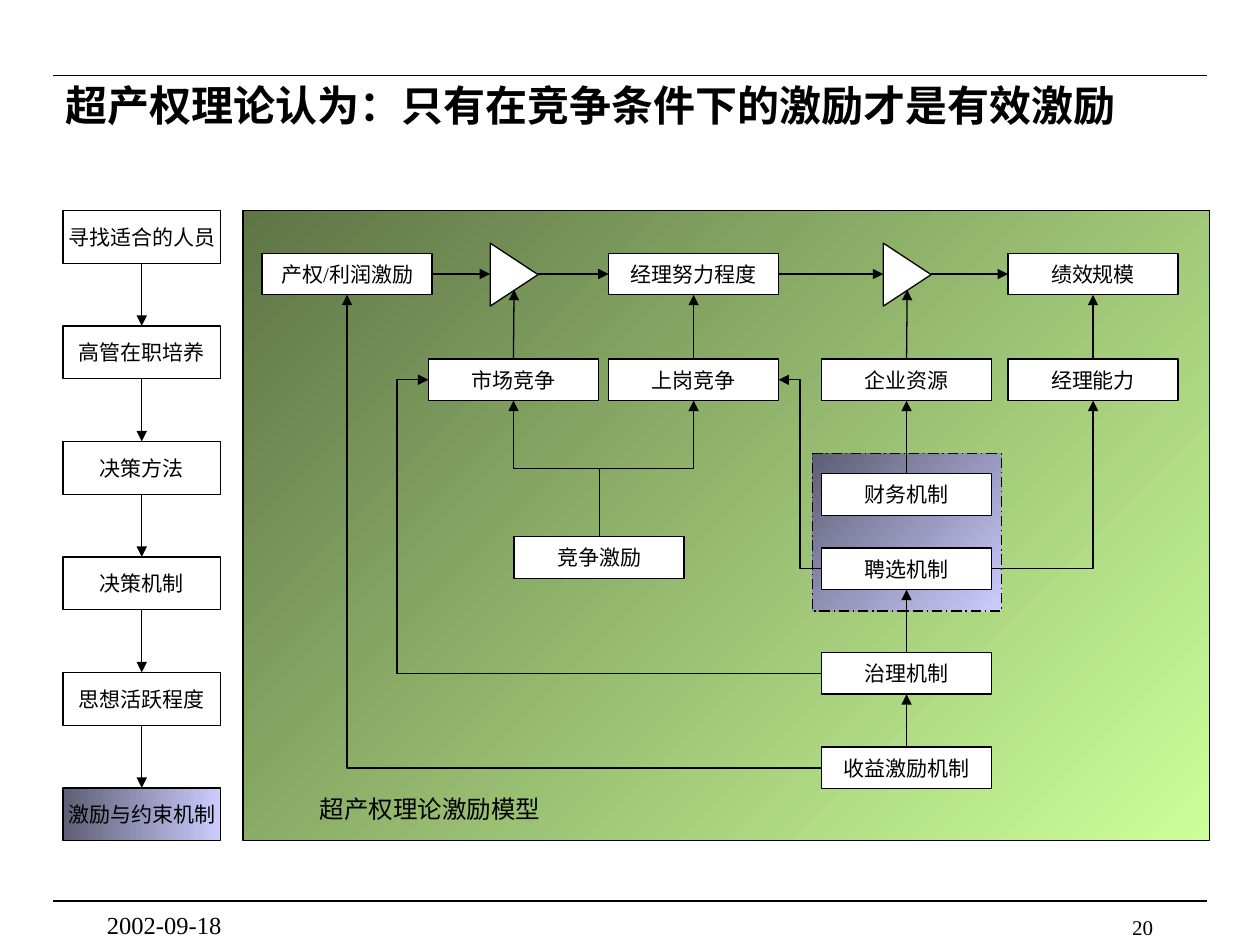
from dataclasses import dataclass

from lxml.etree import SubElement
from pptx import Presentation
from pptx.dml.color import RGBColor
from pptx.enum.dml import MSO_LINE
from pptx.enum.shapes import MSO_CONNECTOR, MSO_SHAPE
from pptx.enum.text import MSO_ANCHOR, PP_ALIGN
from pptx.oxml.ns import qn
from pptx.util import Inches, Pt


@dataclass(frozen=True)
class Theme:
    font: str = "Times New Roman"
    ink: str = "000000"
    white: str = "FFFFFF"
    green: tuple = ("CCFF99", "5E7546")
    violet: tuple = ("CCCCFF", "5E5E75")
    line: float = 0.75
    title: int = 24
    caption: int = 14
    body: int = 12


THEME = Theme()
BOX_WIDTH, BOX_HEIGHT = 1.35, 0.33

STEPS = ["寻找适合的人员", "高管在职培养", "决策方法", "决策机制", "思想活跃程度", "激励与约束机制"]
STEP_LEFT, STEP_TOP, STEP_WIDTH, STEP_HEIGHT = 0.5, 1.67, 1.25, 0.42
STEP_PITCH = 5.5 / 6

# Left and top of each box in the model
BOXES = {
    "产权/利润激励": (2.08, 2.01), "经理努力程度": (4.83, 2.01), "绩效规模": (8, 2.01),
    "市场竞争": (3.4, 2.85), "上岗竞争": (4.83, 2.85),
    "企业资源": (6.52, 2.85), "经理能力": (8, 2.85),
    "财务机制": (6.52, 3.76), "聘选机制": (6.52, 4.35),
    "治理机制": (6.52, 5.18), "收益激励机制": (6.52, 5.93),
    "竞争激励": (4.08, 4.26),
}
UPWARD = [("财务机制", "企业资源"), ("经理能力", "绩效规模"), ("上岗竞争", "经理努力程度"),
          ("治理机制", "聘选机制"), ("收益激励机制", "治理机制")]
# Each gate: centre, the boxes before and after it, the box that feeds it from below
GATES = [(4.08, "产权/利润激励", "经理努力程度", "市场竞争"),
         (7.2, "经理努力程度", "绩效规模", "企业资源")]


def edge(name, side):
    """Middle of one side of a model box."""
    left, top = BOXES[name]
    across, down = {"left": (0, 0.5), "right": (1, 0.5),
                    "top": (0.5, 0), "bottom": (0.5, 1)}[side]
    return left + across * BOX_WIDTH, top + down * BOX_HEIGHT


def write_text(shape, text, size=THEME.body, bold=False, align=PP_ALIGN.CENTER,
               anchor=MSO_ANCHOR.MIDDLE, wrap=False):
    frame = shape.text_frame
    frame.word_wrap = wrap
    frame.vertical_anchor = anchor
    paragraph = frame.paragraphs[0]
    paragraph.alignment = align
    run = paragraph.add_run()
    run.text = text
    run.font.name = THEME.font
    run.font.size = Pt(size)
    run.font.bold = bold
    run.font.color.rgb = RGBColor.from_string(THEME.ink)


def add_label(slide, text, left, top, width, height, **text_format):
    box = slide.shapes.add_textbox(Inches(left), Inches(top), Inches(width), Inches(height))
    write_text(box, text, **text_format)


def style_line(line):
    line.color.rgb = RGBColor.from_string(THEME.ink)
    line.width = Pt(THEME.line)


def add_block(slide, left, top, width, height, fill=None, angle=135,
              kind=MSO_SHAPE.RECTANGLE):
    """Outlined shape; fill is None, one colour or a pair for a gradient."""
    shape = slide.shapes.add_shape(kind, Inches(left), Inches(top),
                                   Inches(width), Inches(height))
    shape.shadow.inherit = False
    style_line(shape.line)
    if fill is None:
        shape.fill.background()
    elif isinstance(fill, tuple):
        shape.fill.gradient()
        shape.fill.gradient_angle = angle
        for stop, colour in zip(shape.fill.gradient_stops, fill):
            stop.color.rgb = RGBColor.from_string(colour)
    else:
        shape.fill.solid()
        shape.fill.fore_color.rgb = RGBColor.from_string(fill)
    return shape


def add_line(slide, start, end, arrow=True, kind=MSO_CONNECTOR.STRAIGHT):
    connector = slide.shapes.add_connector(kind, *(Inches(value) for value in (*start, *end)))
    style_line(connector.line)
    properties = connector.element.spPr
    if arrow:
        SubElement(properties.find(qn("a:ln")), qn("a:tailEnd"), type="triangle")
    SubElement(properties, qn("a:effectLst"))
    return connector


def add_elbow(slide, start, end, bend=0.5):
    """Elbow that leaves sideways; with bend None it turns only once."""
    connector = add_line(slide, start, end, kind=MSO_CONNECTOR.ELBOW)
    geometry = connector.element.spPr.find(qn("a:prstGeom"))
    if bend is None:
        geometry.set("prst", "bentConnector2")
    else:
        guides = geometry.find(qn("a:avLst"))
        if guides is None:
            guides = SubElement(geometry, qn("a:avLst"))
        SubElement(guides, qn("a:gd"), name="adj1", fmla=f"val {round(bend * 100000)}")
    return connector


def add_rising_elbow(slide, start, end):
    """Elbow that leaves upwards: a sideways one turned about its centre."""
    (x1, y1), (x2, y2) = start, end
    centre_x, centre_y = (x1 + x2) / 2, (y1 + y2) / 2
    half_rise, half_run = (y1 - y2) / 2, (x2 - x1) / 2
    connector = add_elbow(slide, (centre_x - half_rise, centre_y - half_run),
                          (centre_x + half_rise, centre_y + half_run))
    connector.element.spPr.find(qn("a:xfrm")).set("rot", str(270 * 60000))


def add_steps(slide):
    centre = STEP_LEFT + STEP_WIDTH / 2
    for index, text in enumerate(STEPS):
        top = STEP_TOP + index * STEP_PITCH
        last = index == len(STEPS) - 1
        block = add_block(slide, STEP_LEFT, top, STEP_WIDTH, STEP_HEIGHT,
                          fill=THEME.violet if last else None, angle=180)
        write_text(block, text)
        if not last:
            add_line(slide, (centre, top + STEP_HEIGHT), (centre, top + STEP_PITCH))


def add_model(slide):
    # Panels and boxes
    add_block(slide, 1.93, 1.67, 7.67, 5, fill=THEME.green)
    group = add_block(slide, 6.45, 3.6, 1.5, 1.25, fill=THEME.violet)
    group.line.dash_style = MSO_LINE.LONG_DASH_DOT
    for text, (left, top) in BOXES.items():
        write_text(add_block(slide, left, top, BOX_WIDTH, BOX_HEIGHT, fill=THEME.white), text)

    # Gates with their arrows
    for centre, before, after, below in GATES:
        gate = add_block(slide, centre - 0.25, 1.99, 0.5, 0.38, fill=THEME.white,
                         kind=MSO_SHAPE.FLOWCHART_EXTRACT)
        gate.rotation = 90
        middle = edge(before, "right")[1]
        add_line(slide, edge(before, "right"), (centre - 0.19, middle))
        add_line(slide, (centre + 0.19, middle), edge(after, "left"))
        add_line(slide, edge(below, "top"), (centre, 2.3))

    # Arrows between boxes
    for lower, upper in UPWARD:
        add_line(slide, edge(lower, "top"), edge(upper, "bottom"))
    add_elbow(slide, edge("聘选机制", "right"), edge("经理能力", "bottom"), bend=None)
    add_elbow(slide, edge("聘选机制", "left"), edge("上岗竞争", "right"))
    add_elbow(slide, edge("收益激励机制", "left"), edge("产权/利润激励", "bottom"), bend=None)
    add_elbow(slide, edge("治理机制", "left"), edge("市场竞争", "left"), bend=1.08)
    for target in ("市场竞争", "上岗竞争"):
        add_rising_elbow(slide, edge("竞争激励", "top"), edge(target, "bottom"))

    add_label(slide, "超产权理论激励模型", 2.25, 6.25, 2.33, 0.33, size=THEME.caption)


def main():
    presentation = Presentation()
    presentation.slide_width, presentation.slide_height = Inches(10), Inches(7.5)
    slide = presentation.slides.add_slide(presentation.slide_layouts[6])

    # Rules and title
    for height in (0.6, 7.15):
        add_line(slide, (0.42, height), (9.58, height), arrow=False)
    add_label(slide, "超产权理论认为：只有在竞争条件下的激励才是有效激励", 0.42, 0.5, 8.83, 0.67,
              size=THEME.title, bold=True, align=PP_ALIGN.LEFT, wrap=True)

    add_steps(slide)
    add_model(slide)

    # Footer
    add_label(slide, "20", 7.17, 7.21, 2.08, 0.17,
              align=PP_ALIGN.RIGHT, anchor=MSO_ANCHOR.TOP, wrap=True)
    add_label(slide, "2002-09-18", 0.75, 7.17, 2.08, 0.25, size=THEME.caption,
              align=PP_ALIGN.LEFT, anchor=MSO_ANCHOR.TOP, wrap=True)
    presentation.save("out.pptx")


if __name__ == "__main__":
    main()
